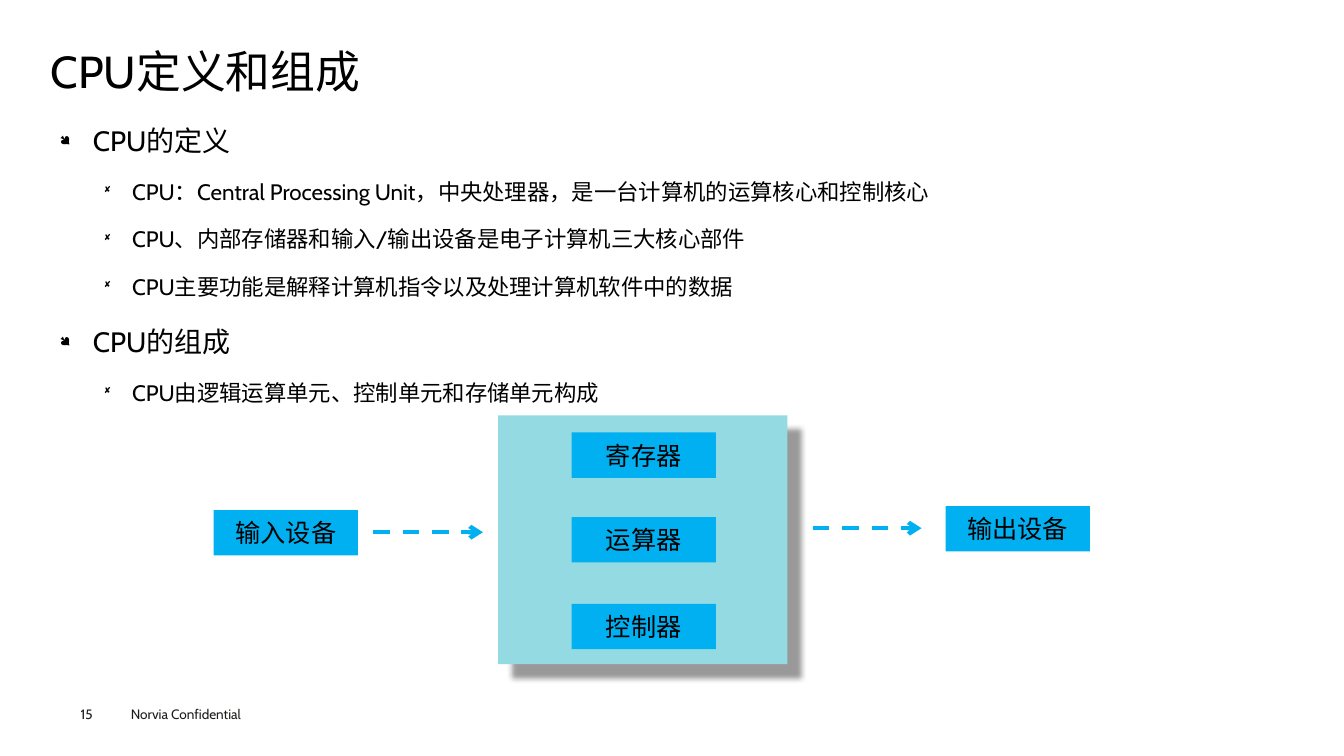
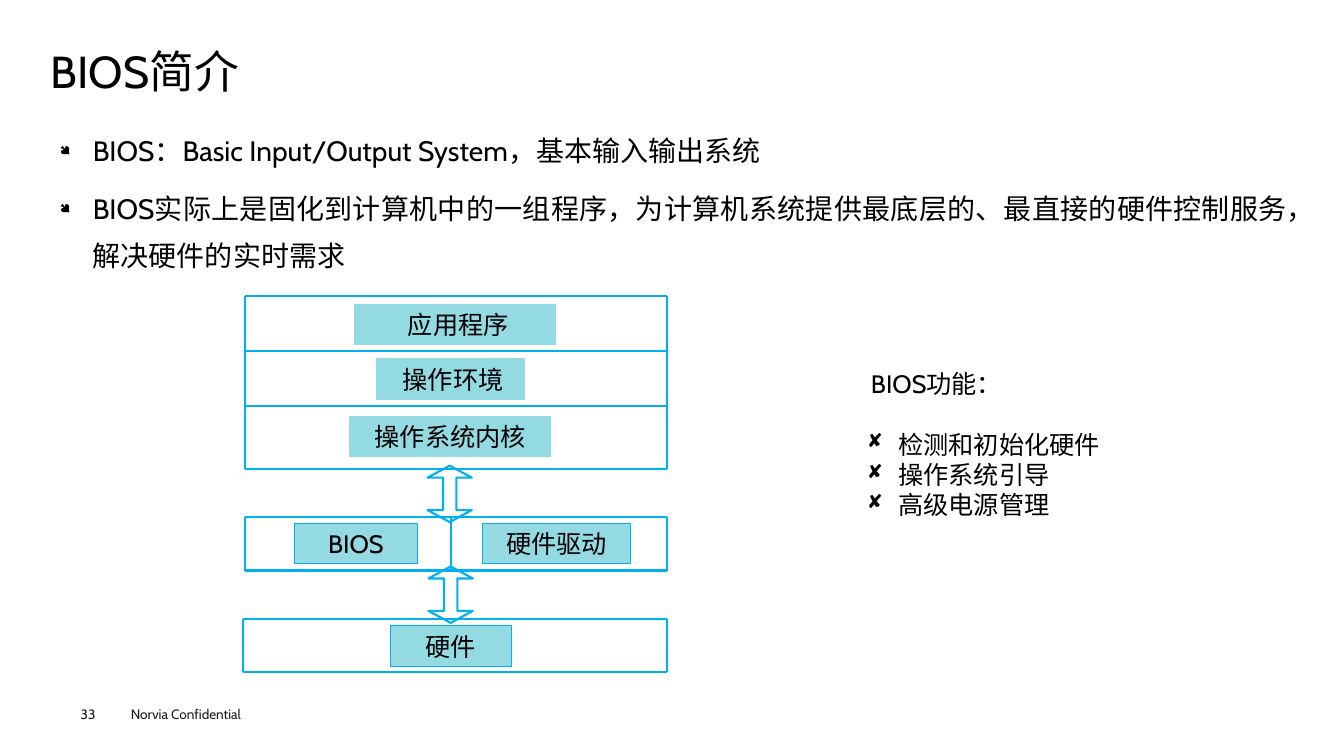
from lxml.etree import SubElement
from pptx import Presentation
from pptx.dml.color import RGBColor
from pptx.enum.dml import MSO_LINE
from pptx.enum.shapes import MSO_CONNECTOR, MSO_SHAPE
from pptx.enum.text import MSO_ANCHOR, PP_ALIGN
from pptx.oxml.ns import qn
from pptx.util import Inches, Pt

FONT = "Cabin"
BULLET_FONT = "Wingdings"
BLACK = "000000"
FOOTER_GREY = "1D1D1B"
BLUE = "00B0F0"
TEAL = "94DAE2"
NO_INSETS = (0, 0)
BODY_INSETS = (0.09, 0.04)
BOX_INSETS = (0.1, 0.05)
LABEL_SIZE = 18

# size, alignment, left margin, hanging indent, space before
BODY_LEVELS = (
    (20, PP_ALIGN.JUSTIFY, 0.33, 0.33, 7.9),
    (16, PP_ALIGN.LEFT, 0.72, 0.28, 7.2),
)
BODY_BULLETS = "●◻"


def color(value):
    return RGBColor.from_string(value)


def add_xml(parent, tag, **attributes):
    return SubElement(parent, qn(tag), attributes)


def add_run(paragraph, text, size, text_color=BLACK):
    run = paragraph.add_run()
    run.text = text
    run.font.size = Pt(size)
    run.font.name = FONT
    run.font.color.rgb = color(text_color)
    add_xml(run.font._element, "a:ea", typeface=FONT)


def set_indent(paragraph, margin, hanging=0):
    properties = paragraph._p.get_or_add_pPr()
    properties.set("marL", str(Inches(margin)))
    properties.set("indent", str(-Inches(hanging)))


def add_bullet(paragraph, character, percent=100):
    properties = paragraph._p.get_or_add_pPr()
    add_xml(properties, "a:buSzPct", val=str(percent * 1000))
    add_xml(properties, "a:buFont", typeface=BULLET_FONT, charset="2")
    add_xml(properties, "a:buChar", char=character)


def set_frame(frame, insets, anchor=MSO_ANCHOR.TOP):
    frame.word_wrap = True
    frame.vertical_anchor = anchor
    frame.margin_left = frame.margin_right = Inches(insets[0])
    frame.margin_top = frame.margin_bottom = Inches(insets[1])


def add_text_box(slide, left, top, width, height, insets):
    frame = slide.shapes.add_textbox(
        Inches(left), Inches(top), Inches(width), Inches(height)).text_frame
    set_frame(frame, insets)
    return frame


def add_shape(slide, kind, left, top, width, height, fill=None, line=None, weight=0.75):
    shape = slide.shapes.add_shape(
        kind, Inches(left), Inches(top), Inches(width), Inches(height))
    shape.shadow.inherit = False
    if fill:
        shape.fill.solid()
        shape.fill.fore_color.rgb = color(fill)
    else:
        shape.fill.background()
    if line:
        shape.line.color.rgb = color(line)
        shape.line.width = Pt(weight)
    else:
        shape.line.fill.background()
    return shape


def add_label(slide, text, left, top, width, height, fill, line=None, shift=0):
    """Add a filled box whose centred text may be shifted by a left indent."""
    shape = add_shape(slide, MSO_SHAPE.RECTANGLE, left, top, width, height, fill, line)
    set_frame(shape.text_frame, BOX_INSETS, MSO_ANCHOR.MIDDLE)
    paragraph = shape.text_frame.paragraphs[0]
    paragraph.alignment = PP_ALIGN.CENTER
    if shift:
        set_indent(paragraph, shift)
    add_run(paragraph, text, LABEL_SIZE)


def add_line(slide, start, end, weight=1.5):
    line = slide.shapes.add_connector(
        MSO_CONNECTOR.STRAIGHT, *(Inches(value) for value in start + end))
    line.line.color.rgb = color(BLUE)
    line.line.width = Pt(weight)
    add_xml(line._element.spPr, "a:effectLst")
    return line


def add_line_frame(slide, left, top, right, bottom):
    for y in (top, bottom):
        add_line(slide, (left, y), (right, y))
    for x in (left, right):
        add_line(slide, (x, top), (x, bottom))


def add_dashed_arrow(slide, left, top, length):
    arrow = add_line(slide, (left, top), (left + length, top), 3)
    arrow.line.dash_style = MSO_LINE.DASH
    add_xml(arrow.line._get_or_add_ln(), "a:tailEnd", type="arrow")


def add_double_arrow(slide, left, top):
    arrow = add_shape(slide, MSO_SHAPE.UP_DOWN_ARROW, left, top, 0.44, 0.56,
                      line=BLUE, weight=1.5)
    guides = arrow._element.spPr.find(qn("a:prstGeom")).find(qn("a:avLst"))
    for guide in list(guides):
        guides.remove(guide)
    for name, value in (("adj1", 30100), ("adj2", 27100)):
        add_xml(guides, "a:gd", name=name, fmla=f"val {value}")


def add_shadow(shape):
    effects = shape._element.spPr.find(qn("a:effectLst"))
    shadow = add_xml(effects, "a:outerShdw", blurRad=str(Pt(4)), dist=str(Pt(14)),
                     dir=str(45 * 60000), algn="tl", rotWithShape="0")
    shade = add_xml(shadow, "a:srgbClr", val=BLACK)
    add_xml(shade, "a:alpha", val="40000")


def add_body(slide, top, items):
    """Write (level, text) pairs as the bulleted body of a slide."""
    frame = add_text_box(slide, 0.5, top, 12.35, 5.34, BODY_INSETS)
    for index, (level, text) in enumerate(items):
        size, alignment, margin, hanging, space = BODY_LEVELS[level]
        paragraph = frame.add_paragraph() if index else frame.paragraphs[0]
        paragraph.alignment = alignment
        paragraph.line_spacing = 1.4
        if index:
            paragraph.space_before = Pt(space)
        set_indent(paragraph, margin, hanging)
        add_bullet(paragraph, BODY_BULLETS[level], 50)
        add_run(paragraph, text, size)


def start_slide(presentation, title, number):
    """Add a blank slide with the shared title and footer."""
    slide = presentation.slides.add_slide(presentation.slide_layouts[6])
    footer = add_text_box(slide, 1.2, 6.95, 1.6, 0.27, BOX_INSETS)
    add_run(footer.paragraphs[0], "Norvia Confidential", 9.7, FOOTER_GREY)
    page = add_text_box(slide, 0.8, 7, 0.55, 0.16, NO_INSETS)
    add_run(page.paragraphs[0], str(number), 9.7, FOOTER_GREY)
    heading = add_text_box(slide, 0.5, 0.49, 12.35, 0.53, NO_INSETS).paragraphs[0]
    heading.line_spacing = 0.9
    add_run(heading, title, 32)
    return slide


def build_cpu_slide(presentation):
    slide = start_slide(presentation, "CPU定义和组成", 15)
    add_body(slide, 1.05, (
        (0, "CPU的定义"),
        (1, "CPU：Central Processing Unit，中央处理器，是一台计算机的运算核心和控制核心"),
        (1, "CPU、内部存储器和输入/输出设备是电子计算机三大核心部件"),
        (1, "CPU主要功能是解释计算机指令以及处理计算机软件中的数据"),
        (0, "CPU的组成"),
        (1, "CPU由逻辑运算单元、控制单元和存储单元构成"),
    ))
    add_shadow(add_shape(slide, MSO_SHAPE.RECTANGLE, 4.94, 4.12, 2.87, 2.47, TEAL))
    for text, left, top in (
        ("寄存器", 5.67, 4.29),
        ("运算器", 5.67, 5.13),
        ("控制器", 5.67, 5.99),
        ("输入设备", 2.12, 5.06),
        ("输出设备", 9.38, 5.02),
    ):
        add_label(slide, text, left, top, 1.43, 0.45, BLUE)
    add_dashed_arrow(slide, 3.7, 5.28, 1.09)
    add_dashed_arrow(slide, 8.06, 5.24, 1.08)


def add_function_list(slide):
    frame = add_text_box(slide, 8.5, 3.6, 3.92, 2.22, BOX_INSETS)
    heading = frame.paragraphs[0]
    set_indent(heading, 0.04)
    add_run(heading, "BIOS功能：", LABEL_SIZE)
    for index, text in enumerate(("检测和初始化硬件", "操作系统引导", "高级电源管理")):
        paragraph = frame.add_paragraph()
        if index == 0:
            paragraph.space_before = Pt(22)
        set_indent(paragraph, 0.31, 0.31)
        add_bullet(paragraph, "◻")
        add_run(paragraph, text, LABEL_SIZE)


def build_bios_slide(presentation):
    slide = start_slide(presentation, "BIOS简介", 33)
    add_body(slide, 1.15, (
        (0, "BIOS：Basic Input/Output System，基本输入输出系统"),
        (0, "BIOS实际上是固化到计算机中的一组程序，为计算机系统提供最底层的、"
            "最直接的硬件控制服务，解决硬件的实时需求"),
    ))
    right = 6.62
    for left, top, bottom in ((2.43, 2.94, 4.65), (2.43, 5.13, 5.66), (2.41, 6.14, 6.67)):
        add_line_frame(slide, left, top, right, bottom)
    for divider in (3.48, 4.03):
        add_line(slide, (2.43, divider), (right, divider))
    add_line(slide, (4.47, 5.13), (4.47, 5.66))
    add_double_arrow(slide, 4.24, 4.62)
    add_double_arrow(slide, 4.25, 5.62)
    for text, left, top, width, line, shift in (
        ("应用程序", 3.52, 3.02, 1.99, TEAL, 0.06),
        ("操作环境", 3.73, 3.56, 1.47, TEAL, 0.06),
        ("操作系统内核", 3.47, 4.13, 1.99, TEAL, 0),
        ("BIOS", 2.92, 5.19, 1.22, BLUE, 0),
        ("硬件驱动", 4.79, 5.19, 1.46, BLUE, 0),
        ("硬件", 3.87, 6.21, 1.2, BLUE, 0),
    ):
        add_label(slide, text, left, top, width, 0.4, TEAL, line, shift)
    add_function_list(slide)


def main():
    presentation = Presentation()
    presentation.slide_width = Inches(13.33)
    presentation.slide_height = Inches(7.5)
    build_cpu_slide(presentation)
    build_bios_slide(presentation)
    presentation.save("out.pptx")


if __name__ == "__main__":
    main()
